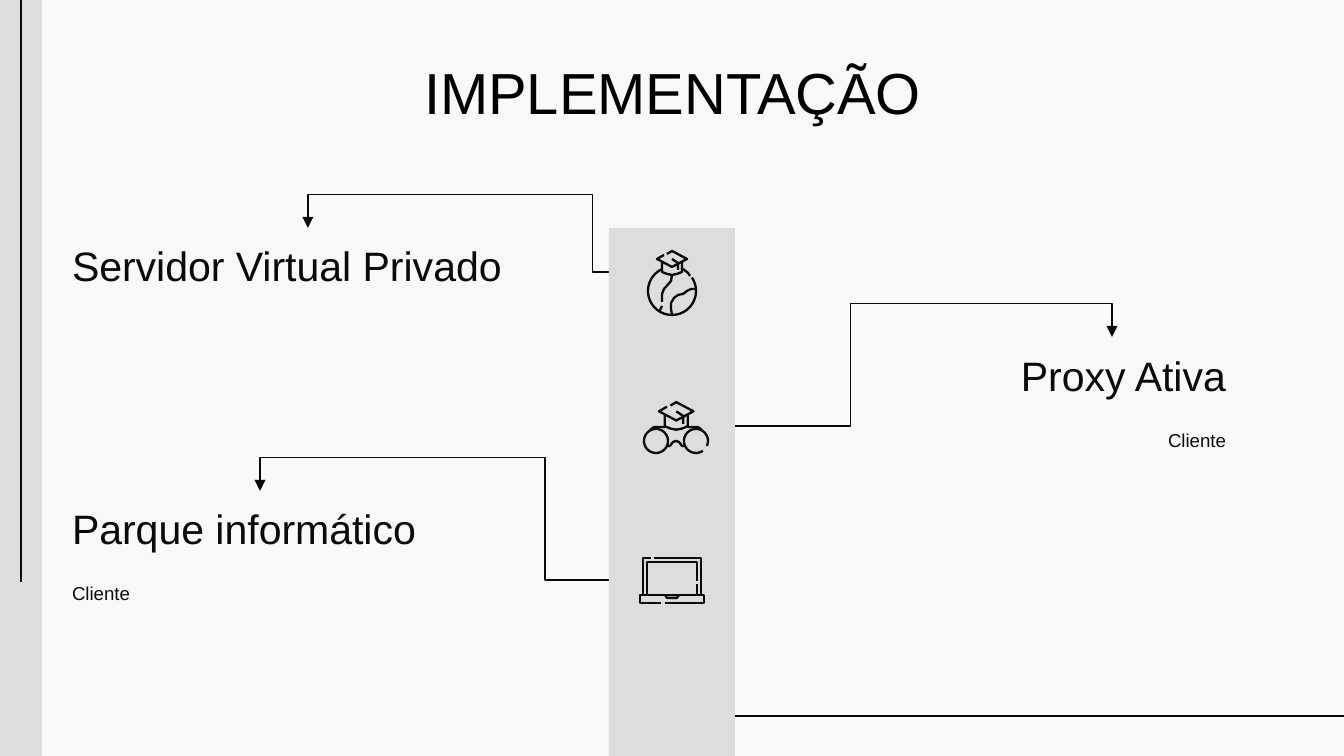
import math
from dataclasses import dataclass

from lxml import etree
from pptx import Presentation
from pptx.dml.color import RGBColor
from pptx.enum import shapes, text
from pptx.oxml.ns import qn
from pptx.util import Emu, Pt

EMU_PER_INCH = 914400
PX_PER_INCH = 134.4


@dataclass(frozen=True)
class Theme:
    font: str = "Arial"
    background: RGBColor = RGBColor(0xF9, 0xF9, 0xF9)
    panel: RGBColor = RGBColor(0xDD, 0xDD, 0xDD)
    ink: RGBColor = RGBColor(0x0A, 0x0A, 0x0A)
    title_ink: RGBColor = RGBColor(0, 0, 0)
    title_size: float = 31
    heading_size: float = 22
    detail_size: float = 10
    line_width: float = 0.75
    icon_width: float = 1.25


THEME = Theme()


def px(value):
    return Emu(round(value * EMU_PER_INCH / PX_PER_INCH))


def add_panel(slide, box):
    panel = slide.shapes.add_shape(shapes.MSO_SHAPE.RECTANGLE, *map(px, box))
    panel.shadow.inherit = False
    panel.fill.solid()
    panel.fill.fore_color.rgb = THEME.panel
    panel.line.fill.background()


def add_connector(slide, kind, start, end):
    connector = slide.shapes.add_connector(kind, *map(px, (*start, *end)))
    connector.line.color.rgb = THEME.ink
    connector.line.width = Pt(THEME.line_width)
    etree.SubElement(connector.element.spPr, qn("a:effectLst"))
    return connector


def add_elbow(slide, box, adjustments, arrow, rotation=0, flip=None):
    left, top, width, height = box
    connector = add_connector(slide, shapes.MSO_CONNECTOR.ELBOW,
                              (left, top), (left + width, top + height))
    properties = connector.element.spPr
    transform = properties.find(qn("a:xfrm"))
    transform.set("rot", str(rotation * 60000))
    if flip:
        transform.set(flip, "1")
    geometry = properties.find(qn("a:prstGeom"))
    geometry.set("prst", "bentConnector4")
    guides = geometry.find(qn("a:avLst"))
    for number, percent in enumerate(adjustments, 1):
        etree.SubElement(guides, qn("a:gd"), name=f"adj{number}",
                         fmla=f"val {round(percent * 1000)}")
    etree.SubElement(properties.find(qn("a:ln")), qn(arrow), type="triangle")


def add_icon(slide, origin, strokes):
    placed = [[tuple(px(base + offset) for base, offset in zip(origin, point)) for point in stroke]
              for stroke in strokes]
    builder = slide.shapes.build_freeform(*placed[0][0])
    for index, (first, *others) in enumerate(placed):
        if index:
            builder.move_to(*first)
        builder.add_line_segments(others, close=False)
    icon = builder.convert_to_shape()
    icon.shadow.inherit = False
    icon.fill.background()
    icon.line.color.rgb = THEME.ink
    icon.line.width = Pt(THEME.icon_width)


def arc(center, radius, start=0, end=360):
    angles = [math.radians(start + (end - start) * step / 48) for step in range(49)]
    return [(center[0] + radius * math.cos(angle), center[1] + radius * math.sin(angle))
            for angle in angles]


def cap(left, scale=1):
    strokes = [[(5, 12), (5, 22), (10, 24), (15, 25), (20, 24), (25, 22), (25, 12)],
               [(7, 5), (0, 9), (15, 17), (30, 9), (15, 1), (10, 4)],
               [(15, 9), (21, 13), (21, 20)]]
    return [[(left + x * scale, y * scale) for x, y in stroke] for stroke in strokes]


def add_globe(slide, origin):
    add_icon(slide, origin, [
        arc((26, 41), 24, -34, 245),
        [(37, 19), (42, 23), (44, 26)],
        [(26, 25), (25, 31), (18, 39), (16, 44), (16, 52)],
        [(16, 56), (13, 62)],
        [(50, 39), (45, 39), (41, 41), (37, 44), (32, 45), (28, 48), (25, 53), (25, 59), (26, 65)],
        *cap(11)])


def add_binoculars(slide, origin):
    add_icon(slide, origin, [
        arc((13, 40), 12),
        arc((53, 40), 12, 55, 385),
        [(7, 29), (11, 26), (22, 26)],
        [(44, 26), (55, 26), (59, 29)],
        [(24, 45), (27, 45), (30, 41), (33, 40), (36, 41), (39, 45), (42, 45)],
        *cap(16, 1.15)])


def add_laptop(slide, origin):
    add_icon(slide, origin, [
        [(12, 1), (4, 1), (4, 38)],
        [(15, 1), (62, 1), (62, 38)],
        [(58, 24), (58, 5), (8, 5), (8, 38)],
        [(58, 27), (58, 38)],
        [(22, 46), (1, 46), (1, 38), (65, 38), (65, 46), (26, 46)],
        [(26, 38), (28, 41), (38, 41), (40, 38)]])


def place_text(placeholder, box, lines, alignment, inset):
    placeholder.left, placeholder.top, placeholder.width, placeholder.height = map(px, box)
    frame = placeholder.text_frame
    frame.word_wrap = True
    frame.auto_size = text.MSO_AUTO_SIZE.NONE
    frame.vertical_anchor = text.MSO_ANCHOR.TOP
    frame.margin_left = frame.margin_right = frame.margin_top = frame.margin_bottom = px(inset)
    for index, (words, size, color, after) in enumerate(lines):
        paragraph = frame.add_paragraph() if index else frame.paragraphs[0]
        paragraph.alignment = alignment
        paragraph.line_spacing = 1.0
        paragraph.space_before = Pt(0)
        paragraph.space_after = Pt(after)
        properties = paragraph._p.get_or_add_pPr()
        properties.set("marL", "0")
        properties.set("indent", "0")
        etree.SubElement(properties, qn("a:buNone"))
        run = paragraph.add_run()
        run.text = words
        run.font.name = THEME.font
        run.font.size = Pt(size)
        run.font.bold = False
        run.font.color.rgb = color


def add_topic(placeholder, box, heading, detail=None, alignment=text.PP_ALIGN.LEFT):
    lines = [(heading, THEME.heading_size, THEME.ink, 16)]
    if detail:
        lines.append((detail, THEME.detail_size, THEME.ink, 16))
    place_text(placeholder, box, lines, alignment, 13)


def add_frame(slide, box):
    left, top, width, height = box
    straight = shapes.MSO_CONNECTOR.STRAIGHT
    add_panel(slide, (left, top, 42, height))
    add_connector(slide, straight, (left + width // 2, top + 716), (left + width, top + 716))
    add_connector(slide, straight, (left + 21, top + 582), (left + 21, top))


def add_icon_column(slide, box):
    left, top, _, _ = box
    add_panel(slide, box)
    add_globe(slide, (left + 37, top + 22))
    add_binoculars(slide, (left + 34, top + 173))
    add_laptop(slide, (left + 30, top + 329))


def build_slide(presentation):
    slide = presentation.slides.add_slide(presentation.slide_layouts.get_by_name("Comparison"))
    slide.background.fill.solid()
    slide.background.fill.fore_color.rgb = THEME.background
    title, server, park, proxy, *unused = slide.placeholders
    for placeholder in unused:
        placeholder.element.getparent().remove(placeholder.element)

    add_frame(slide, (0, 0, 1344, 756))
    add_elbow(slide, (446, 90, 44, 320), (-75.7, 89), "a:headEnd", 270, "flipH")
    add_elbow(slide, (716, 337, 396, 89), (34, 137.8), "a:tailEnd", flip="flipV")
    add_elbow(slide, (260, 491, 368, 89), (22.6, 137.9), "a:tailEnd", 180)
    add_icon_column(slide, (609, 228, 126, 528))

    place_text(title, (336, 50, 673, 83),
               [("IMPLEMENTAÇÃO", THEME.title_size, THEME.title_ink, 0)],
               text.PP_ALIGN.CENTER, 7)
    add_topic(server, (59, 227, 500, 77), "Servidor Virtual Privado")
    add_topic(park, (59, 490, 403, 77), "Parque informático", "Cliente")
    add_topic(proxy, (985, 337, 254, 77), "Proxy Ativa", "Cliente", text.PP_ALIGN.RIGHT)


def main():
    presentation = Presentation()
    presentation.slide_width, presentation.slide_height = px(1344), px(756)
    build_slide(presentation)
    presentation.save("out.pptx")


if __name__ == "__main__":
    main()
